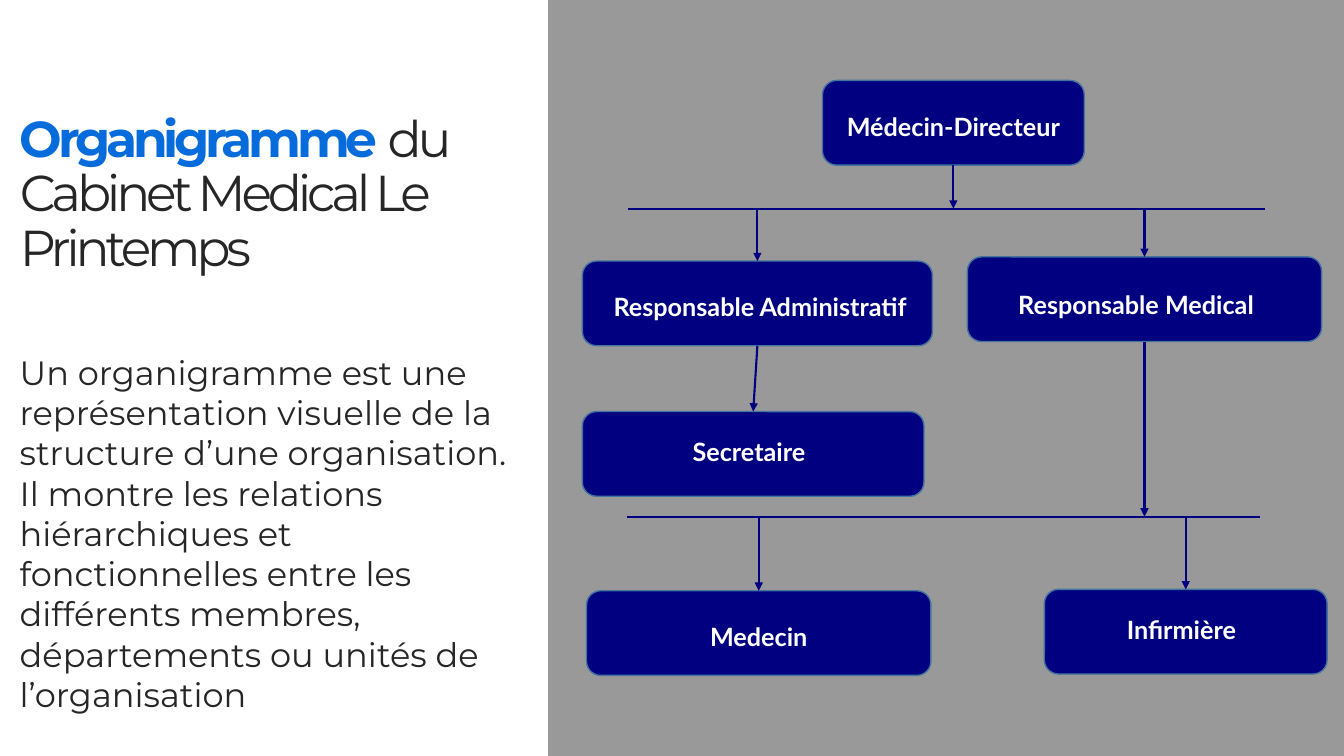
from lxml import etree
from pptx import Presentation
from pptx import util as u
from pptx.dml.color import RGBColor
from pptx.enum import shapes, text
from pptx.oxml.ns import qn

COLORS = {"navy": "000080", "border": "43739E", "blue": "076CDB",
          "ink": "262626", "white": "FFFFFF", "black": "000000"}
TITLE_FONT = {"name": "Montserrat", "size": u.Pt(36)}
BODY_FONT = {"name": "Montserrat", "size": u.Pt(24), "bold": False}
LABEL_FONT = {"name": "Lato", "size": u.Pt(18), "bold": True}
LABEL_PARAGRAPH = {"alignment": text.PP_ALIGN.CENTER, "line_spacing": 1.5,
                   "space_after": u.Pt(8)}
BOX_HEIGHT = 60.5
BAR_YS = {"upper": 149, "lower": 369}
BOXES = {
    "director": ("Médecin-Directeur", 587.5, 57.5, 187, 0, -3),
    "administration": ("Responsable Administratif", 416, 186.5, 250, 2, -3),
    "medical": ("Responsable Medical", 691, 183.5, 253, -6, -2),
    "secretary": ("Secretaire", 416, 294, 244, -3, -7),
    "doctor": ("Medecin", 419, 422, 246, 0, -3),
    "nurse": ("Infirmière", 746, 421, 202, -3, -7),
}
BARS = [("upper", 448.5, 903.5), ("lower", 448, 900)]
LINKS = [("director", "upper"), ("upper", "administration"), ("upper", "medical"),
         ("administration", "secretary"), ("medical", "lower"),
         ("lower", "doctor"), ("lower", "nurse")]


def rgb(name):
    """Return a named colour."""
    return RGBColor.from_string(COLORS[name])


def apply(target, values):
    """Set attributes from a dict of format values."""
    for name, value in values.items():
        setattr(target, name, value)


def add_run(paragraph, wording, font, color):
    """Add a formatted run to a paragraph."""
    run = paragraph.add_run()
    run.text = wording
    apply(run.font, font)
    run.font.color.rgb = rgb(color)
    return run


def add_title(slide):
    """Place the title with its first word emphasised."""
    title = slide.shapes.title
    apply(title, {"left": u.Pt(7), "top": u.Pt(72), "width": u.Pt(346.5), "height": u.Pt(135.5)})
    apply(title.text_frame, {"word_wrap": True, "auto_size": text.MSO_AUTO_SIZE.NONE,
                             "vertical_anchor": text.MSO_ANCHOR.MIDDLE})
    paragraph = title.text_frame.paragraphs[0]
    apply(paragraph, {"alignment": text.PP_ALIGN.LEFT, "line_spacing": 0.9})
    for wording, bold, color in (("Organigramme ", True, "blue"),
                                 ("du Cabinet Medical Le Printemps", False, "ink")):
        run = add_run(paragraph, wording, {**TITLE_FONT, "bold": bold}, color)
        run.font._element.set("spc", "-300")


def add_description(slide):
    """Add the explanatory text under the title."""
    shape = slide.shapes.add_textbox(u.Pt(7), u.Pt(247.5), u.Pt(373.5), u.Pt(240))
    shape.text_frame.word_wrap = True
    add_run(shape.text_frame.paragraphs[0],
            "Un organigramme est une représentation visuelle de la structure d’une "
            "organisation. Il montre les relations hiérarchiques et fonctionnelles entre "
            "les différents membres, départements ou unités de l’organisation",
            BODY_FONT, "ink")


def add_shape(slide, kind, left, top, width, height, fill):
    """Add a filled shape without a shadow."""
    shape = slide.shapes.add_shape(kind, u.Pt(left), u.Pt(top), u.Pt(width), u.Pt(height))
    shape.shadow.inherit = False
    shape.fill.solid()
    shape.fill.fore_color.rgb = rgb(fill)
    return shape


def add_panel(slide):
    """Add the translucent panel behind the chart."""
    panel = add_shape(slide, shapes.MSO_SHAPE.RECTANGLE, 391.5, 0, 568.5, 540, "black")
    panel.line.fill.background()
    color = panel._element.spPr.find(qn("a:solidFill"))[0]
    etree.SubElement(color, qn("a:alpha"), val="40000")


def add_box(slide, label, left, top, width, shift_x, shift_y):
    """Add a position box whose label is shifted from the centre."""
    box = add_shape(slide, shapes.MSO_SHAPE.ROUNDED_RECTANGLE,
                    left, top, width, BOX_HEIGHT, "navy")
    box.line.color.rgb = rgb("border")
    box.line.width = u.Pt(1)
    apply(box.text_frame, {
        "word_wrap": True, "vertical_anchor": text.MSO_ANCHOR.MIDDLE,
        "margin_left": u.Pt(max(0, 2 * shift_x)), "margin_right": u.Pt(max(0, -2 * shift_x)),
        "margin_top": u.Pt(max(0, 2 * shift_y)), "margin_bottom": u.Pt(max(0, -2 * shift_y))})
    paragraph = box.text_frame.paragraphs[0]
    apply(paragraph, LABEL_PARAGRAPH)
    add_run(paragraph, label, LABEL_FONT, "white")
    return box


def add_line(slide, start, end, arrow=False):
    """Add a straight navy line, with an arrowhead on request."""
    line = slide.shapes.add_connector(shapes.MSO_CONNECTOR.STRAIGHT, *start, *end)
    line.line.color.rgb = rgb("navy")
    line.line.width = u.Pt(1.5)
    if arrow:
        etree.SubElement(line.line._get_or_add_ln(), qn("a:tailEnd"), type="triangle")
    etree.SubElement(line._element.spPr, qn("a:effectLst"))
    return line


def add_link(slide, boxes, source, target):
    """Add an arrow between two boxes or between a box and a bar."""
    upper, lower = boxes.get(source), boxes.get(target)
    anchor = upper or lower
    center = anchor.left + anchor.width // 2
    start = (center, upper.top + upper.height if upper else u.Pt(BAR_YS[source]))
    end = (center, lower.top if lower else u.Pt(BAR_YS[target]))
    link = add_line(slide, start, end, arrow=True)
    if upper:
        link.begin_connect(upper, 2)
    if lower:
        link.end_connect(lower, 0)


def main():
    """Build the organisation chart slide."""
    presentation = Presentation()
    apply(presentation, {"slide_width": u.Pt(960), "slide_height": u.Pt(540)})
    slide = presentation.slides.add_slide(presentation.slide_layouts[5])
    add_title(slide)
    add_description(slide)
    add_panel(slide)
    boxes = {name: add_box(slide, *values) for name, values in BOXES.items()}
    for name, left, right in BARS:
        y = u.Pt(BAR_YS[name])
        add_line(slide, (u.Pt(left), y), (u.Pt(right), y))
    for source, target in LINKS:
        add_link(slide, boxes, source, target)
    presentation.save("out.pptx")


if __name__ == "__main__":
    main()
